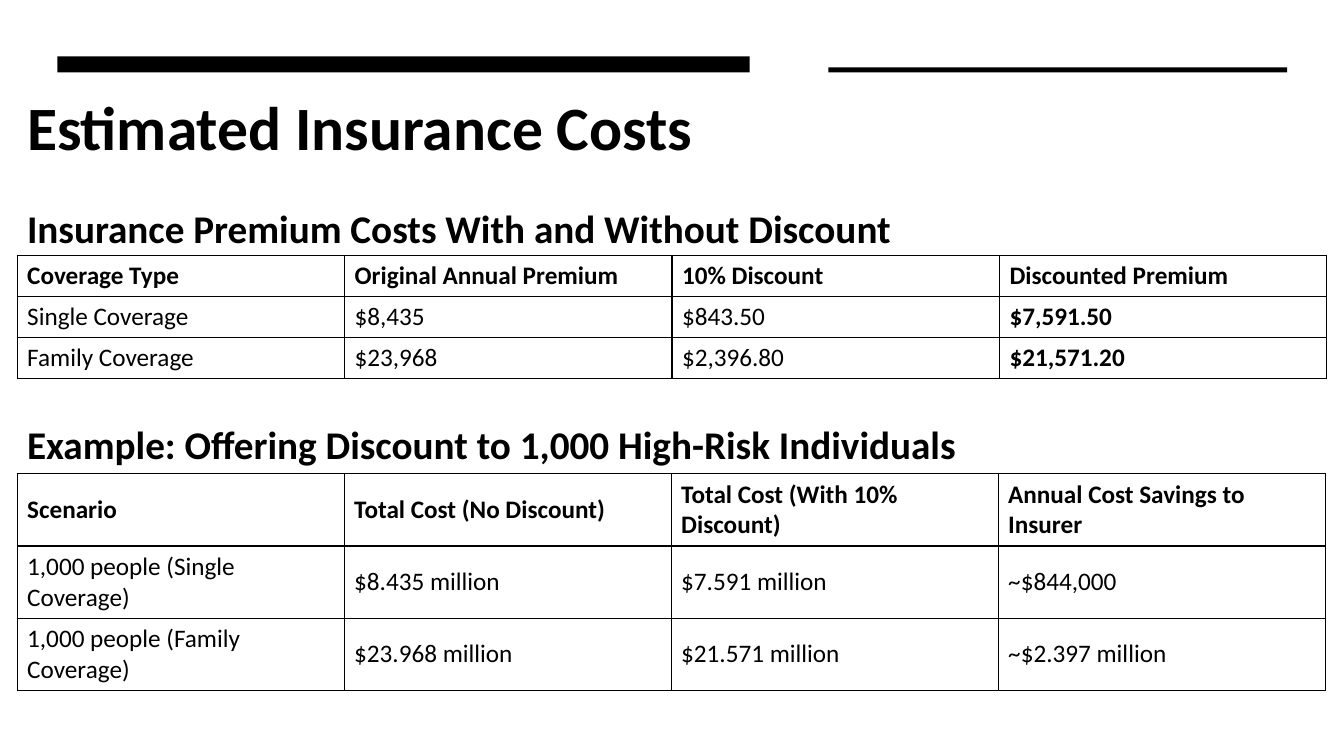
from dataclasses import dataclass

from lxml import etree
from pptx import Presentation
from pptx.dml.color import RGBColor
from pptx.enum import shapes, text
from pptx.oxml import ns
from pptx.util import Pt


@dataclass(frozen=True)
class Theme:
    font: str = "Calibri"
    ink: RGBColor = RGBColor(0, 0, 0)
    paper: RGBColor = RGBColor(255, 255, 255)
    title_size: int = 44
    heading_size: int = 28
    cell_size: int = 18
    border_width: int = 1


THEME = Theme()
LEFT = 12.24

PREMIUMS = [
    ["Coverage Type", "Original Annual Premium", "10% Discount", "Discounted Premium"],
    ["Single Coverage", "$8,435", "$843.50", "$7,591.50"],
    ["Family Coverage", "$23,968", "$2,396.80", "$21,571.20"],
]
SCENARIOS = [
    ["Scenario", "Total Cost (No Discount)", "Total Cost (With 10% Discount)",
     "Annual Cost Savings to Insurer"],
    ["1,000 people (Single Coverage)", "$8.435 million", "$7.591 million", "~$844,000"],
    ["1,000 people (Family Coverage)", "$23.968 million", "$21.571 million",
     "~$2.397 million"],
]


def write_text(text_frame, words, size, bold):
    text_frame.text = words
    paragraph = text_frame.paragraphs[0]
    for run in paragraph.runs:
        run.font.name = THEME.font
        run.font.size = Pt(size)
        run.font.bold = bold
        run.font.color.rgb = THEME.ink
    return paragraph


def add_bar(slide, left, top, width, height):
    shape = slide.shapes.add_shape(
        shapes.MSO_SHAPE.RECTANGLE, Pt(left), Pt(top), Pt(width), Pt(height))
    shape.shadow.inherit = False
    shape.fill.solid()
    shape.fill.fore_color.rgb = THEME.ink
    shape.line.fill.background()


def add_heading(slide, words, top, width, height, size):
    box = slide.shapes.add_textbox(Pt(LEFT), Pt(top), Pt(width), Pt(height))
    box.text_frame.word_wrap = True
    box.text_frame.vertical_anchor = text.MSO_ANCHOR.TOP
    return write_text(box.text_frame, words, size, True)


def add_borders(cell):
    properties = cell._tc.get_or_add_tcPr()
    for position, side in enumerate(("lnL", "lnR", "lnT", "lnB")):
        line = etree.Element(ns.qn(f"a:{side}"), w=str(Pt(THEME.border_width)))
        fill = etree.SubElement(line, ns.qn("a:solidFill"))
        etree.SubElement(fill, ns.qn("a:srgbClr"), val=str(THEME.ink))
        properties.insert(position, line)


def add_cost_table(slide, rows, top, column_width, row_height, bold_columns=()):
    row_count, column_count = len(rows), len(rows[0])
    table = slide.shapes.add_table(
        row_count, column_count, Pt(LEFT), Pt(top),
        Pt(column_width * column_count), Pt(row_height * row_count)).table
    table.horz_banding = False
    for column in table.columns:
        column.width = Pt(column_width)
    for row_index, row in enumerate(rows):
        table.rows[row_index].height = Pt(row_height)
        for column_index, words in enumerate(row):
            cell = table.cell(row_index, column_index)
            cell.fill.background()
            cell.vertical_anchor = text.MSO_ANCHOR.MIDDLE
            bold = row_index == 0 or column_index in bold_columns
            write_text(cell.text_frame, words, THEME.cell_size, bold)
            add_borders(cell)


def main():
    presentation = Presentation()
    presentation.slide_width, presentation.slide_height = Pt(960), Pt(540)
    slide = presentation.slides.add_slide(presentation.slide_layouts[6])
    slide.background.fill.solid()
    slide.background.fill.fore_color.rgb = THEME.paper

    # Title and the bars above it
    add_bar(slide, 41, 40.3, 494.6, 11.5)
    add_bar(slide, 591.8, 48.2, 327.6, 3.6)
    title = add_heading(slide, "Estimated Insurance Costs", 66, 774, 66, THEME.title_size)
    title.line_spacing = 0.9

    # Premiums per coverage type
    add_heading(slide, "Insurance Premium Costs With and Without Discount",
                142.6, 775.4, 97.2, THEME.heading_size)
    add_cost_table(slide, PREMIUMS, 182.6, 233.9, 29.2, bold_columns=(3,))

    # Savings example
    add_heading(slide, "Example: Offering Discount to 1,000 High-Risk Individuals",
                296.6, 775.4, 63.4, THEME.heading_size)
    add_cost_table(slide, SCENARIOS, 338.4, 233.6, 51.6)

    presentation.save("out.pptx")


if __name__ == "__main__":
    main()
